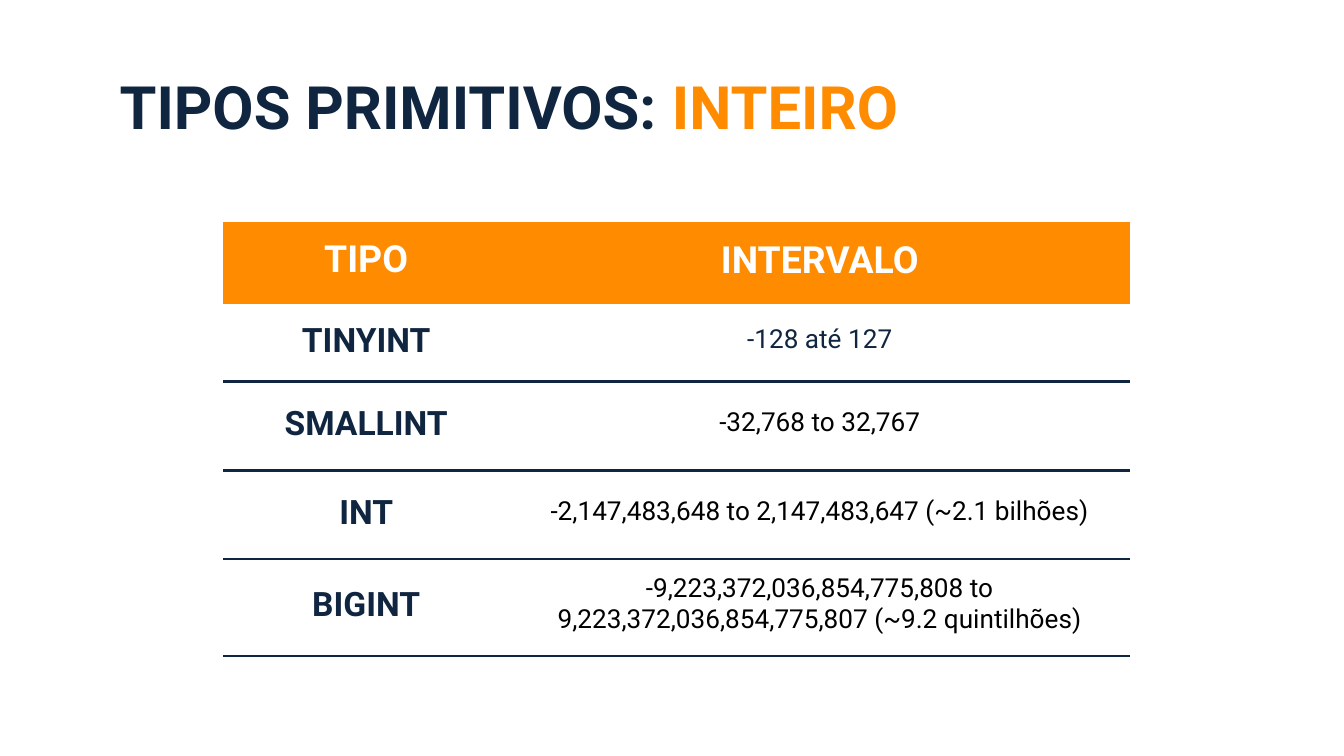
from lxml import etree
from pptx import Presentation
from pptx.dml.color import RGBColor
from pptx.enum.text import MSO_ANCHOR, PP_ALIGN
from pptx.oxml.ns import qn
from pptx.util import Inches, Pt

NAVY = RGBColor(0x10, 0x25, 0x40)
ORANGE = RGBColor(0xFF, 0x8B, 0x00)
WHITE = RGBColor(0xFF, 0xFF, 0xFF)
BLACK = RGBColor(0, 0, 0)
FONT = "Roboto"
MIDDLE, TOP = MSO_ANCHOR.MIDDLE, MSO_ANCHOR.TOP
CENTER, LEFT = PP_ALIGN.CENTER, PP_ALIGN.LEFT
NO_STYLE = "{2D5ABB26-0587-4C30-8999-92F81FD0307C}"

COL_WIDTHS = [2.13, 4.62]
ROW_HEIGHTS = [0.61, 0.58, 0.66, 0.66, 0.72]
HEADER = ("TIPO", "INTERVALO")
TYPES = [
    ("TINYINT", "-128 até 127", NAVY),
    ("SMALLINT", "-32,768 to 32,767", BLACK),
    ("INT", "-2,147,483,648 to 2,147,483,647 (~2.1 bilhões)", BLACK),
    ("BIGINT", "-9,223,372,036,854,775,808 to "
               "9,223,372,036,854,775,807 (~9.2 quintilhões)", BLACK),
]


def add_run(p, text, size, color, bold=True):
    r = p.add_run()
    r.text = text
    for name, value in {"name": FONT, "size": Pt(size), "bold": bold}.items():
        setattr(r.font, name, value)
    r.font.color.rgb = color


def place_title(slide, left, top, width, height):
    title = slide.shapes.title
    box = {"left": left, "top": top, "width": width, "height": height}
    for name, value in box.items():
        setattr(title, name, Inches(value))
    tf = title.text_frame
    tf.word_wrap = True
    tf.vertical_anchor = TOP
    for side in ("left", "top", "right", "bottom"):
        setattr(tf, f"margin_{side}", Inches(0.1))
    p = tf.paragraphs[0]
    p.alignment = LEFT
    add_run(p, "TIPOS PRIMITIVOS: ", 32, NAVY)
    add_run(p, "INTEIRO", 32, ORANGE)


def set_bottom_border(cell, color, width):
    ln = etree.Element(qn("a:lnB"), w=str(Pt(width)))
    fill = etree.SubElement(ln, qn("a:solidFill"))
    etree.SubElement(fill, qn("a:srgbClr"), val=str(color))
    # Borders come before the fill in the cell properties
    cell._tc.get_or_add_tcPr().insert(0, ln)


def write_cell(cell, text, size, color, margin_top, bold=True):
    cell.vertical_anchor = MIDDLE
    cell.margin_left = cell.margin_right = cell.margin_bottom = Inches(0.1)
    cell.margin_top = Inches(margin_top)
    p = cell.text_frame.paragraphs[0]
    p.alignment = CENTER
    add_run(p, text, size, color, bold)


def add_type_table(slide, left, top):
    frame = slide.shapes.add_table(
        len(ROW_HEIGHTS), len(COL_WIDTHS), Inches(left), Inches(top),
        Inches(sum(COL_WIDTHS)), Inches(sum(ROW_HEIGHTS)))
    table = frame.table
    table.first_row = table.horz_banding = False
    table._tbl.tblPr.find(qn("a:tableStyleId")).text = NO_STYLE
    for column, width in zip(table.columns, COL_WIDTHS):
        column.width = Inches(width)
    for row, height in zip(table.rows, ROW_HEIGHTS):
        row.height = Inches(height)

    # Header row
    for col, (text, margin_top) in enumerate(zip(HEADER, (0.06, 0.07))):
        cell = table.cell(0, col)
        write_cell(cell, text, 20, WHITE, margin_top)
        cell.fill.solid()
        cell.fill.fore_color.rgb = ORANGE

    # One underlined row per type
    for row, (name, interval, color) in enumerate(TYPES, 1):
        write_cell(table.cell(row, 0), name, 18, NAVY, 0.07)
        write_cell(table.cell(row, 1), interval, 14, color, 0.05, bold=False)
        for col in range(len(COL_WIDTHS)):
            cell = table.cell(row, col)
            cell.fill.background()
            set_bottom_border(cell, NAVY, 1.5)


def main():
    prs = Presentation()
    # Widescreen, 16:9
    prs.slide_width, prs.slide_height = Inches(10), Inches(10 * 9 / 16)
    slide = prs.slides.add_slide(prs.slide_layouts[5])
    slide.background.fill.solid()
    slide.background.fill.fore_color.rgb = WHITE
    place_title(slide, 0.79, 0.42, 8.42, 0.65)
    add_type_table(slide, 1.66, 1.65)
    prs.save("out.pptx")


if __name__ == "__main__":
    main()
